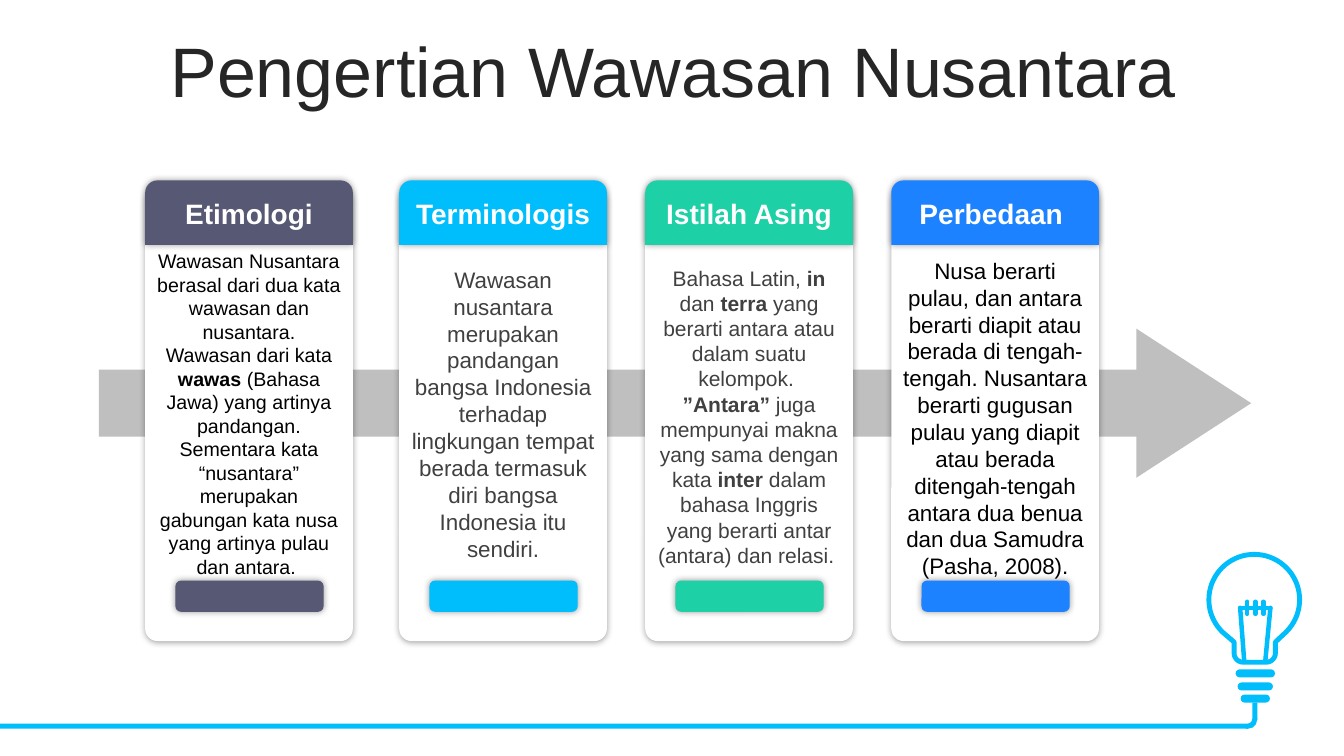
from math import cos, radians, sin

from lxml import etree
from pptx import Presentation
from pptx.dml.color import RGBColor
from pptx.enum.shapes import MSO_CONNECTOR, MSO_SHAPE
from pptx.enum.text import MSO_ANCHOR, PP_ALIGN
from pptx.oxml import parse_xml
from pptx.oxml.ns import nsdecls, qn
from pptx.util import Inches, Pt

RECTANGLE, ROUNDED = MSO_SHAPE.RECTANGLE, MSO_SHAPE.ROUNDED_RECTANGLE
ROUNDED_TOP, ARC = MSO_SHAPE.ROUND_2_SAME_RECTANGLE, MSO_SHAPE.BLOCK_ARC
ARROW, STRAIGHT = MSO_SHAPE.RIGHT_ARROW, MSO_CONNECTOR.STRAIGHT
CENTER, TOP, MIDDLE = PP_ALIGN.CENTER, MSO_ANCHOR.TOP, MSO_ANCHOR.MIDDLE

WHITE = RGBColor(0xFF, 0xFF, 0xFF)
BLACK = RGBColor(0x00, 0x00, 0x00)
TITLE_GRAY = RGBColor(0x26, 0x26, 0x26)
TEXT_GRAY = RGBColor(0x40, 0x40, 0x40)
ARROW_GRAY = RGBColor(0xBF, 0xBF, 0xBF)
SLATE = RGBColor(0x56, 0x58, 0x74)
SKY = RGBColor(0x00, 0xBD, 0xFB)
GREEN = RGBColor(0x1E, 0xD0, 0xA6)
BLUE = RGBColor(0x1C, 0x82, 0xFF)

deck = Presentation()
deck.slide_width, deck.slide_height = Inches(13.33), Inches(7.5)
page = deck.slides.add_slide(deck.slide_layouts[6])


def add_block(kind, left, top, width, height, color, adjust=(), glow=False):
    block = page.shapes.add_shape(
        kind, Inches(left), Inches(top), Inches(width), Inches(height))
    for index, value in enumerate(adjust):
        block.adjustments[index] = value
    block.fill.solid()
    block.fill.fore_color.rgb = color
    block.line.fill.background()
    block.shadow.inherit = False
    if glow:
        effects = block._element.spPr.find(qn("a:effectLst"))
        effects.append(parse_xml(
            f'<a:outerShdw {nsdecls("a")} blurRad="63500" dist="0" algn="ctr" '
            'rotWithShape="0"><a:srgbClr val="000000"><a:alpha val="40000"/>'
            '</a:srgbClr></a:outerShdw>'))


def add_text(text, left, top, width, height, size, color, bold=False,
             anchor=TOP, line_spacing=None):
    """Blank lines part paragraphs, newlines break lines, ** toggles bold."""
    box = page.shapes.add_textbox(
        Inches(left), Inches(top), Inches(width), Inches(height))
    frame = box.text_frame
    frame.word_wrap = True
    frame.vertical_anchor = anchor
    for number, content in enumerate(text.split("\n\n")):
        para = frame.add_paragraph() if number else frame.paragraphs[0]
        para.alignment = CENTER
        para.line_spacing = line_spacing
        for part, piece in enumerate(content.split("**")):
            for row, words in enumerate(piece.split("\n")):
                if row:
                    para.add_line_break()
                if not words:
                    continue
                span = para.add_run()
                span.text = words
                span.font.name = "Arial"
                span.font.size = Pt(size)
                span.font.bold = bold or part % 2 == 1
                span.font.color.rgb = color


# Light bulb: round glass, neck with rounded corners
outline = [(12.44 + 0.45 * cos(radians(angle)), 5.95 + 0.45 * sin(radians(angle)))
           for angle in range(135, 406, 5)]
outline += [(12.65, 6.37), (12.65, 6.48)]
for center, start in ((12.56, 0), (12.33, 90)):
    outline += [(center + 0.09 * cos(radians(angle)), 6.48 + 0.09 * sin(radians(angle)))
                for angle in range(start, start + 91, 15)]
outline.append((12.24, 6.37))
points = [(Inches(x), Inches(y)) for x, y in outline]
builder = page.shapes.build_freeform(*points[0])
builder.add_line_segments(points[1:], close=True)
glass = builder.convert_to_shape()
glass.fill.solid()
glass.fill.fore_color.rgb = WHITE
glass.line.color.rgb = SKY
glass.line.width = Pt(3.5)
glass.shadow.inherit = False

# Bulb filament and base
filament = [(12.30, 6.03, 12.60, 6.03), (12.30, 6.03, 12.34, 6.55),
            (12.60, 6.03, 12.55, 6.55)]
filament += [(x, 5.97, x, 6.09) for x in (12.37, 12.45, 12.53)]
for ends in filament:
    wire = page.shapes.add_connector(STRAIGHT, *[Inches(value) for value in ends])
    wire.line.color.rgb = SKY
    wire.line.width = Pt(3.2)
    wire.line._get_or_add_ln().set("cap", "rnd")
    etree.SubElement(wire._element.spPr, qn("a:effectLst"))
for top, width in ((6.64, 0.39), (6.77, 0.35), (6.89, 0.29)):
    add_block(ROUNDED, 12.45 - width / 2, top, width, 0.08, SKY, (0.5,))

# Cable along the bottom
add_block(RECTANGLE, 0, 7.18, 12.37, 0.05, SKY)
add_block(RECTANGLE, 12.42, 6.97, 0.05, 0.17, SKY)
add_block(ARC, 12.28, 7.04, 0.19, 0.19, SKY, (213.39, 60.92, 0.27))

# Title and arrow
add_block(ARROW, 0.98, 3.26, 11.43, 1.48, ARROW_GRAY, (0.45, 0.77))
add_text("Pengertian Wawasan Nusantara", 0.35, 0.37, 12.66, 0.79, 50, TITLE_GRAY,
         anchor=MIDDLE, line_spacing=0.8)

# Cards: left, color, heading, text top, text size, text color, text
cards = [
    (1.44, SLATE, "Etimologi", 2.42, 14, BLACK,
     "Wawasan Nusantara berasal dari dua kata wawasan dan nusantara.\n"
     "Wawasan dari kata **wawas** (Bahasa Jawa) yang artinya pandangan. "
     "Sementara kata “nusantara” merupakan gabungan kata nusa yang artinya "
     "pulau dan antara. "),
    (3.96, SKY, "Terminologis", 2.59, 16, TEXT_GRAY,
     "Wawasan nusantara merupakan pandangan bangsa Indonesia terhadap "
     "lingkungan tempat berada termasuk diri bangsa Indonesia itu sendiri."),
    (6.40, GREEN, "Istilah Asing", 2.58, 15, TEXT_GRAY,
     "Bahasa Latin, **in** dan **terra** yang berarti antara atau dalam suatu "
     "kelompok. \n\n**”Antara” **juga mempunyai makna yang sama dengan kata"
     "** inter **dalam bahasa Inggris yang berarti antar (antara) dan relasi. "),
    (8.84, BLUE, "Perbedaan ", 2.5, 16, BLACK,
     "Nusa berarti pulau, dan antara berarti diapit atau berada di tengah- "
     "tengah. Nusantara berarti gugusan pulau yang diapit atau berada "
     "ditengah-tengah antara dua benua dan dua Samudra (Pasha, 2008)."),
]
for left, color, heading, text_top, size, text_color, text in cards:
    add_block(ROUNDED, left, 1.87, 2.06, 4.49, WHITE, (0.06,), glow=True)
    add_block(ROUNDED_TOP, left, 1.79, 2.06, 0.64, color, (0.19, 0), glow=True)
    add_block(ROUNDED, left + 0.3, 5.76, 1.47, 0.31, color, (0.18,), glow=True)
    add_text(text, left, text_top, 2.06, 5.76 - text_top, size, text_color)
    add_text(heading, left, 1.9, 2.06, 0.44, 20, WHITE, bold=True)

deck.save("out.pptx")
